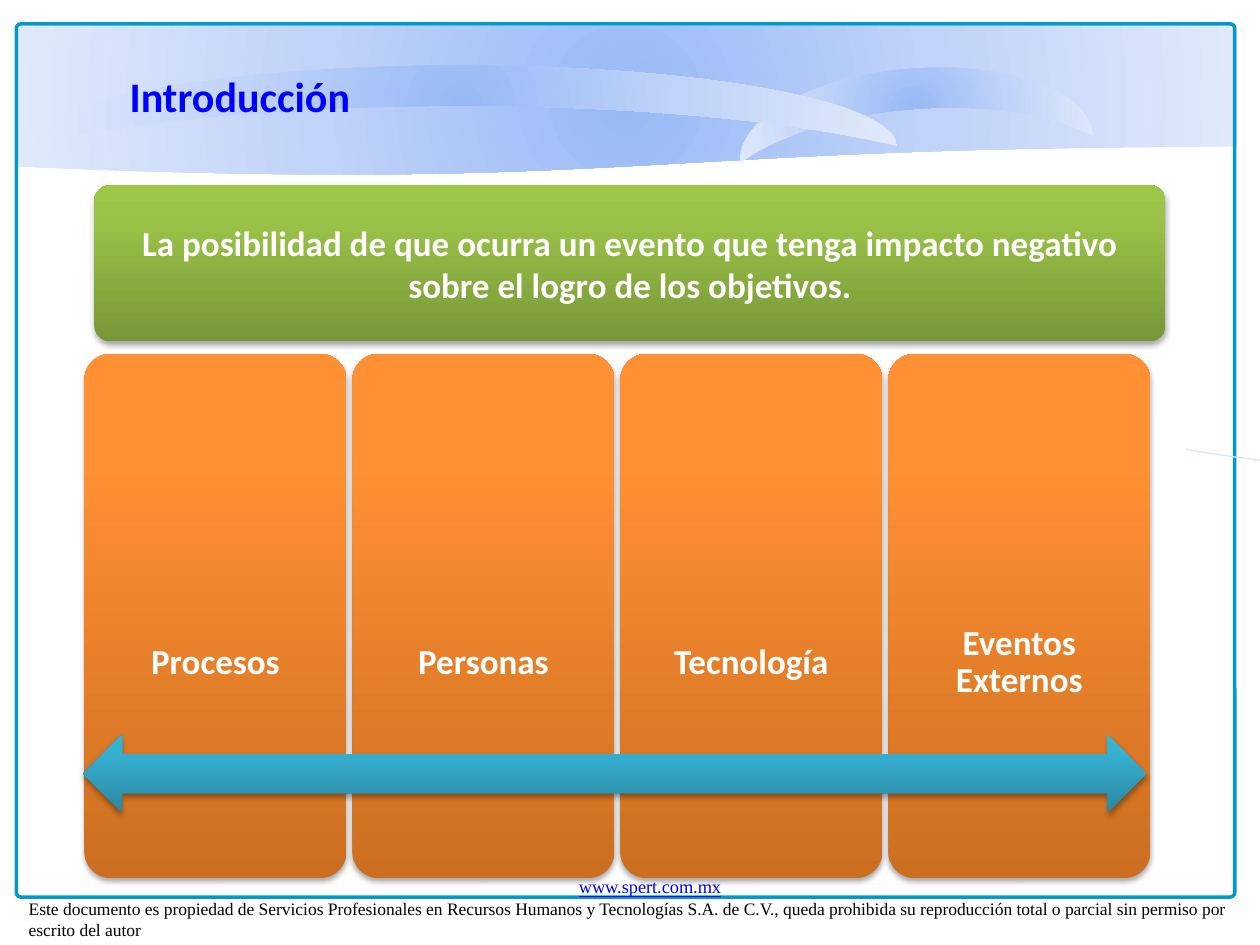
from dataclasses import dataclass

from pptx import Presentation
from pptx.dml.color import RGBColor as RGB
from pptx.enum.shapes import MSO_SHAPE as Kind
from pptx.enum.text import MSO_ANCHOR as Anchor, PP_ALIGN as Align
from pptx.oxml import parse_xml
from pptx.oxml.ns import nsdecls, qn
from pptx.util import Inches, Pt

BLUE = RGB(0x00, 0x00, 0xFF)
BLACK = RGB(0x00, 0x00, 0x00)
WHITE = RGB(0xFF, 0xFF, 0xFF)
TEAL = RGB(0x00, 0x99, 0xCC)
PALE = RGB(0xDC, 0xE6, 0xF2)


@dataclass(frozen=True)
class Box:
    x: float
    y: float
    w: float
    h: float


@dataclass(frozen=True)
class Blend:
    stops: tuple[tuple[int, RGB], ...]
    round: bool = False


def ramp(low: RGB, mid: RGB, high: RGB) -> Blend:
    return Blend(((0, low), (80, mid), (100, high)))


SKY = Blend(((0, RGB(0x98, 0xB9, 0xF6)), (50, RGB(0xC0, 0xD3, 0xF8)),
             (100, RGB(0xE0, 0xE9, 0xFB))), round=True)
ORANGE = ramp(RGB(0xCC, 0x6E, 0x20), RGB(0xFF, 0x90, 0x34), RGB(0xFF, 0x91, 0x36))
GREEN = ramp(RGB(0x77, 0x97, 0x37), RGB(0x9B, 0xC3, 0x48), RGB(0x9D, 0xC7, 0x46))
AQUA = ramp(RGB(0x2A, 0x88, 0xA2), RGB(0x37, 0xB1, 0xD2), RGB(0x34, 0xB4, 0xD6))


def paint(shape, blend: Blend) -> None:
    """Fill with a gradient, radial or rising from the bottom."""
    shape.fill.gradient()
    stops = "".join(
        f'<a:gs pos="{pos * 1000}"><a:srgbClr val="{tone}"/></a:gs>'
        for pos, tone in blend.stops)
    if blend.round:
        way = ('<a:path path="circle"><a:fillToRect l="50000" t="50000" '
               'r="50000" b="50000"/></a:path>')
    else:
        way = '<a:lin ang="16200000" scaled="0"/>'
    props = shape._element.spPr
    props.replace(props.find(qn("a:gradFill")), parse_xml(
        f'<a:gradFill {nsdecls("a")} rotWithShape="1">'
        f'<a:gsLst>{stops}</a:gsLst>{way}</a:gradFill>'))


def shade(shape) -> None:
    """Add a soft shadow below the shape."""
    shape._element.spPr.find(qn("a:effectLst")).append(parse_xml(
        f'<a:outerShdw {nsdecls("a")} blurRad="{Pt(3.1)}" dist="{Pt(1.8)}" '
        'dir="5400000" rotWithShape="0"><a:srgbClr val="000000">'
        '<a:alpha val="35000"/></a:srgbClr></a:outerShdw>'))


def draw(slide, kind: Kind, box: Box, *, blend: Blend | None = None,
         line: RGB | None = None, width: float = 1, adjust: tuple = (),
         turn: float = 0, shadow: bool = False):
    shape = slide.shapes.add_shape(
        kind, Inches(box.x), Inches(box.y), Inches(box.w), Inches(box.h))
    shape.rotation = turn
    shape.shadow.inherit = False
    for i, value in enumerate(adjust):
        shape.adjustments[i] = value
    if blend:
        paint(shape, blend)
    else:
        shape.fill.background()
    if line is not None:
        shape.line.color.rgb = line
        shape.line.width = Pt(width)
    else:
        shape.line.fill.background()
    if shadow:
        shade(shape)
    return shape


def write(para, text: str, *, size: float, color: RGB, font: str = "Calibri",
          bold: bool = False, under: bool = False,
          align: Align = Align.CENTER, space: float = 1) -> None:
    para.alignment = align
    para.line_spacing = space
    run = para.add_run()
    run.text = text
    run.font.name = font
    run.font.size = Pt(size)
    run.font.bold = bold
    run.font.underline = under
    run.font.color.rgb = color


def frame(shape, inset: tuple = (0.1, 0.05, 0.1, 0.05),
          anchor: Anchor = Anchor.TOP):
    """Set the text area: insets are left, top, right, bottom."""
    area = shape.text_frame
    area.word_wrap = True
    area.vertical_anchor = anchor
    (area.margin_left, area.margin_top,
     area.margin_right, area.margin_bottom) = map(Inches, inset)
    return area


def label(slide, box: Box, **layout):
    shape = slide.shapes.add_textbox(
        Inches(box.x), Inches(box.y), Inches(box.w), Inches(box.h))
    return frame(shape, **layout)


def backdrop(slide) -> None:
    # Header wave and page border
    draw(slide, Kind.FLOWCHART_DOCUMENT, Box(0.12, 0.21, 9.7, 1.19), blend=SKY)
    draw(slide, Kind.ROUNDED_RECTANGLE, Box(0.13, 0.19, 9.67, 6.93),
         line=TEAL, width=2, adjust=(0.005,))

    # Footer
    area = label(slide, Box(0.13, 6.9, 10.06, 0.61))
    serif = "Times New Roman"
    write(area.paragraphs[0], "www.spert.com.mx", size=10.5, color=BLUE,
          font=serif, under=True)
    write(area.add_paragraph(),
          "Este documento es propiedad de Servicios Profesionales en Recursos "
          "Humanos y Tecnologías S.A. de C.V., queda prohibida su reproducción "
          "total o parcial sin permiso por escrito del autor",
          size=10, color=BLACK, font=serif, align=Align.LEFT)

    # Header curves; arc angles are degrees in units of 100000 / 60000
    draw(slide, Kind.MOON, Box(6.93, -0.54, 0.64, 2.81), blend=SKY, turn=85.6)
    draw(slide, Kind.MOON, Box(3.34, -2.62, 0.64, 6.92), blend=SKY, turn=90)
    draw(slide, Kind.ARC, Box(8.69, -2.07, 3.01, 8.46), line=PALE, width=0.75,
         adjust=(165.89 * 0.6, 202.33 * 0.6), turn=276.8)


def content(slide) -> None:
    bold = dict(size=20, color=WHITE, bold=True)

    # Title
    area = label(slide, Box(0, 0.28, 3.94, 0.45), inset=(0.1, 0.28, 0.23, 0))
    write(area.paragraphs[0], "Introducción", size=24, color=BLUE, bold=True)

    # Risk sources
    names = ("Procesos", "Personas", "Tecnología", "Eventos Externos")
    first, last = 0.67, 7.05
    step = (last - first) / (len(names) - 1)
    for i, name in enumerate(names):
        card = draw(slide, Kind.ROUNDED_RECTANGLE,
                    Box(first + i * step, 2.81, 2.08, 4.16),
                    blend=ORANGE, adjust=(0.1,), shadow=True)
        area = frame(card, (0.1, 1.57, 0.1, 0.83), Anchor.MIDDLE)
        write(area.paragraphs[0], name, space=0.9, **bold)

    # Arrow across the cards
    draw(slide, Kind.LEFT_RIGHT_ARROW, Box(0.66, 5.83, 8.44, 0.62),
         blend=AQUA, shadow=True)

    # Definition
    banner = draw(slide, Kind.ROUNDED_RECTANGLE, Box(0.75, 1.47, 8.5, 1.24),
                  blend=GREEN, adjust=(0.1,), shadow=True)
    area = frame(banner, anchor=Anchor.MIDDLE)
    write(area.paragraphs[0],
          "La posibilidad de que ocurra un evento que tenga impacto negativo "
          "sobre el logro de los objetivos.", **bold)


def main() -> None:
    deck = Presentation()
    deck.slide_width, deck.slide_height = Inches(10), Inches(7.5)
    slide = deck.slides.add_slide(deck.slide_layouts[6])
    backdrop(slide)
    content(slide)
    deck.save("out.pptx")


if __name__ == "__main__":
    main()
